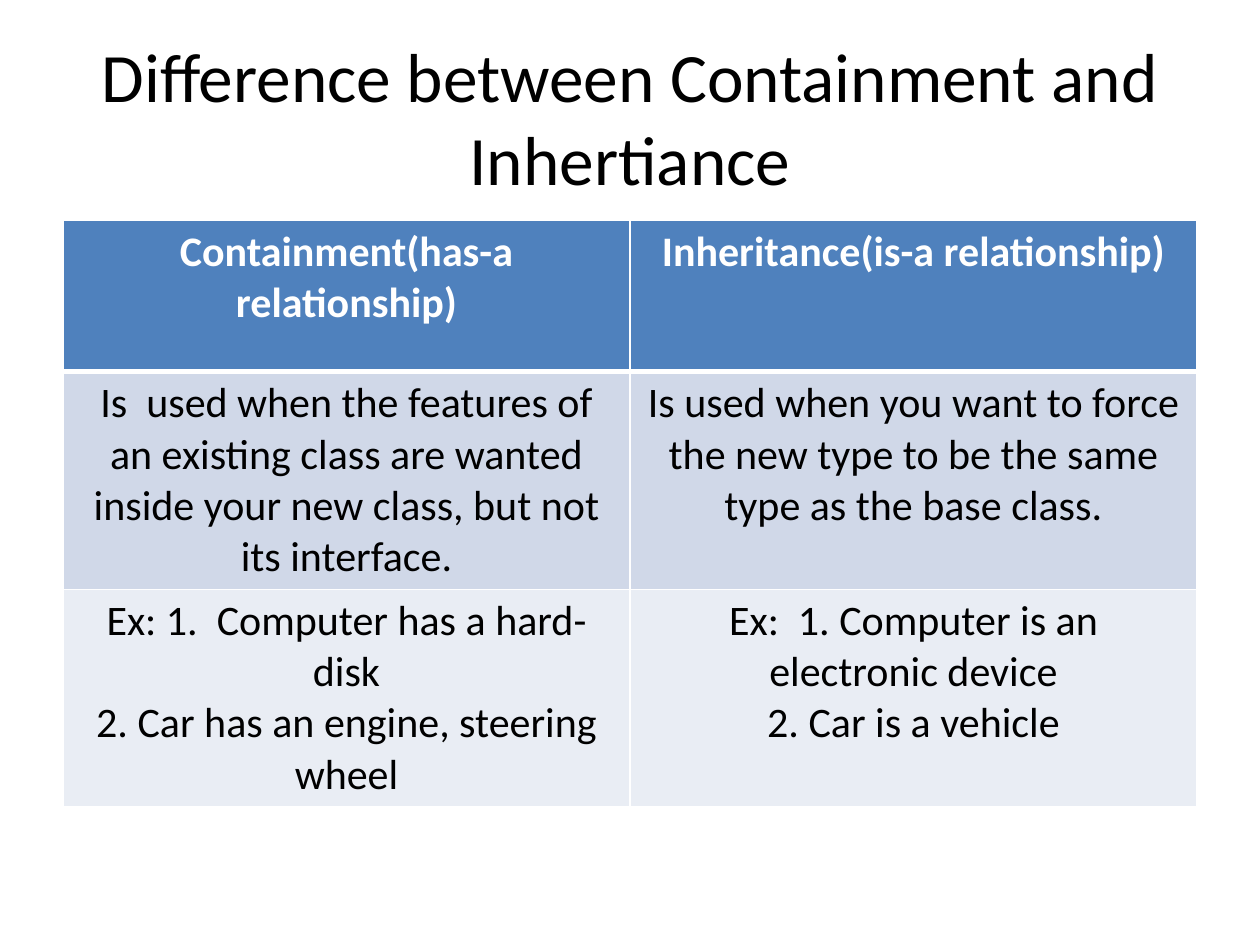
from dataclasses import dataclass

from lxml import etree
from pptx import Presentation
from pptx import util as u
from pptx.dml.color import RGBColor
from pptx.enum import text
from pptx.oxml.ns import qn

COLORS = {
    "header": "4F81BD",
    "band_dark": "D0D8E8",
    "band_light": "E9EDF4",
    "white": "FFFFFF",
    "black": "000000",
}
FONT = "Calibri"
MARGIN = 36
CONTENT_WIDTH = 648


@dataclass
class ComparisonRow:
    containment: str
    inheritance: str
    height: float
    fill: str
    text_color: str = "black"
    bold: bool = False
    bottom_border: float = 1


ROWS = [
    ComparisonRow(
        "Containment(has-a relationship)",
        "Inheritance(is-a relationship)",
        86.4, "header", "white", True, 3,
    ),
    ComparisonRow(
        "Is  used when the features of an existing class are wanted inside "
        "your new class, but not its interface.",
        "Is used when you want to force the new type to be the same type "
        "as the base class.",
        124, "band_dark",
    ),
    ComparisonRow(
        "Ex: 1.  Computer has a hard-disk\n2. Car has an engine, steering wheel",
        "Ex:  1. Computer is an electronic device\n2. Car is a vehicle",
        124, "band_light",
    ),
]


def format_text(frame, size: float, color: str, bold: bool = False) -> None:
    for paragraph in frame.paragraphs:
        paragraph.alignment = text.PP_ALIGN.CENTER
        font = paragraph.font
        font.name = FONT
        font.size = u.Pt(size)
        font.bold = bold
        font.color.rgb = RGBColor.from_string(COLORS[color])


def add_border(cell, side: str, width: float) -> None:
    properties = cell._tc.get_or_add_tcPr()
    line = etree.SubElement(properties, qn(f"a:ln{side}"), w=str(u.Pt(width)))
    fill = etree.SubElement(line, qn("a:solidFill"))
    etree.SubElement(fill, qn("a:srgbClr"), val=COLORS["white"])


def fill_cell(cell, content: str, row: ComparisonRow, top_border: float) -> None:
    cell.text_frame.text = content
    format_text(cell.text_frame, 24, row.text_color, row.bold)
    borders = {"L": 1, "R": 1, "T": top_border, "B": row.bottom_border}
    for side, width in borders.items():
        add_border(cell, side, width)
    cell.fill.solid()
    cell.fill.fore_color.rgb = RGBColor.from_string(COLORS[row.fill])


def add_title(slide, content: str) -> None:
    title = slide.shapes.title
    title.left, title.top = u.Pt(MARGIN), u.Pt(21.6)
    title.width, title.height = u.Pt(CONTENT_WIDTH), u.Pt(90)
    frame = title.text_frame
    frame.text = content
    frame.word_wrap = True
    frame.auto_size = text.MSO_AUTO_SIZE.NONE
    frame.vertical_anchor = text.MSO_ANCHOR.MIDDLE
    format_text(frame, 39.6, "black")


def add_comparison(slide, rows: list[ComparisonRow]) -> None:
    height = sum(row.height for row in rows)
    table = slide.shapes.add_table(
        len(rows), 2, u.Pt(MARGIN), u.Pt(126), u.Pt(CONTENT_WIDTH), u.Pt(height)
    ).table
    top_border = 1
    for index, row in enumerate(rows):
        table.rows[index].height = u.Pt(row.height)
        for column, content in enumerate((row.containment, row.inheritance)):
            fill_cell(table.cell(index, column), content, row, top_border)
        top_border = row.bottom_border


def main() -> None:
    presentation = Presentation()
    presentation.slide_width, presentation.slide_height = u.Pt(720), u.Pt(540)
    slide = presentation.slides.add_slide(presentation.slide_layouts[5])
    add_title(slide, "Difference between Containment and Inhertiance")
    add_comparison(slide, ROWS)
    presentation.save("out.pptx")


if __name__ == "__main__":
    main()
